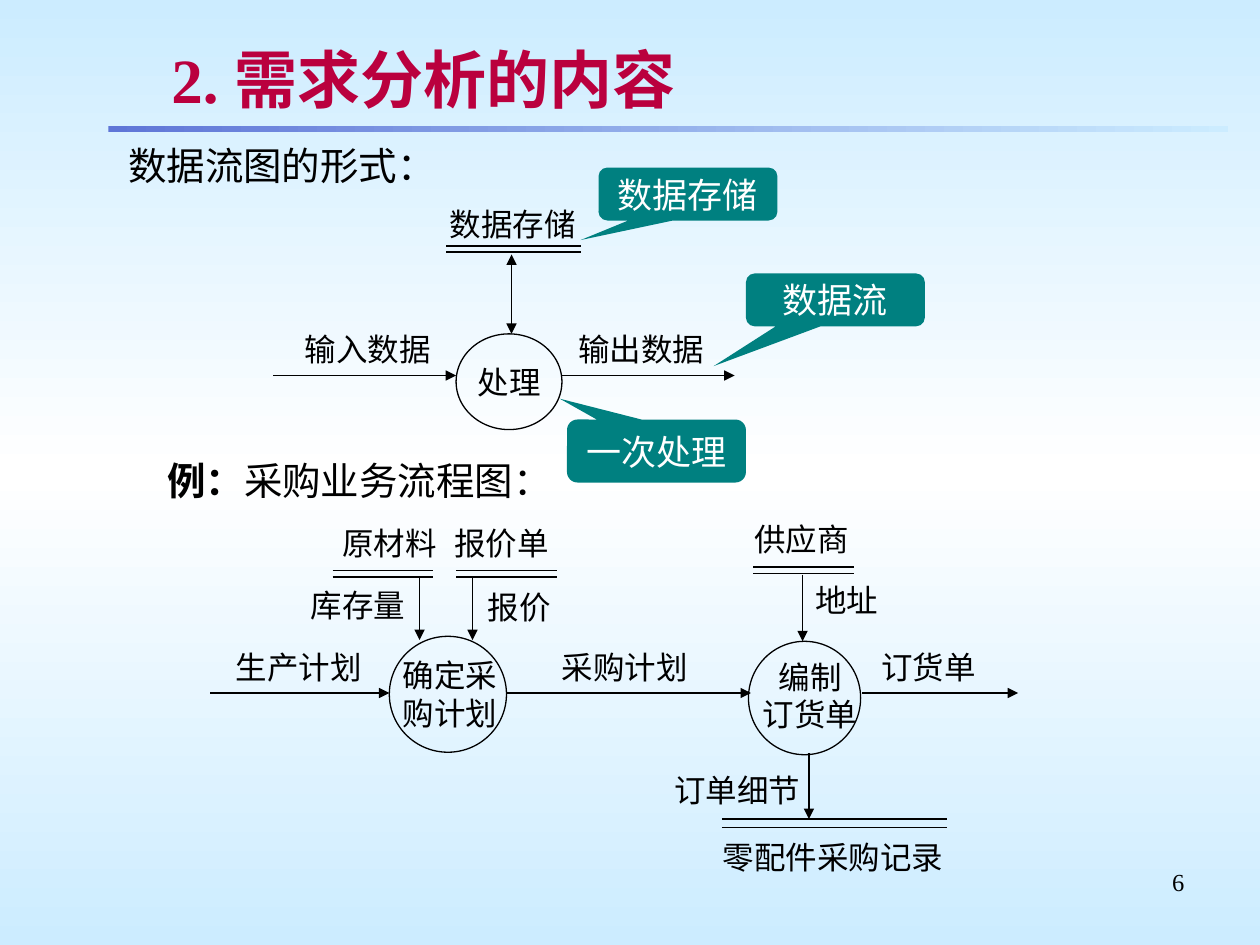
from dataclasses import dataclass
from lxml import etree
from pptx import Presentation
from pptx.dml.color import RGBColor
from pptx.enum.shapes import MSO_CONNECTOR, MSO_SHAPE
from pptx.enum.text import MSO_ANCHOR, MSO_AUTO_SIZE, PP_ALIGN
from pptx.oxml.ns import qn
from pptx.util import Inches, Pt

LEFT, MID, RIGHT = PP_ALIGN.LEFT, PP_ALIGN.CENTER, PP_ALIGN.RIGHT
TOP, MIDDLE = MSO_ANCHOR.TOP, MSO_ANCHOR.MIDDLE
OVAL, RECT = MSO_SHAPE.OVAL, MSO_SHAPE.RECTANGLE
CALLOUT = MSO_SHAPE.ROUNDED_RECTANGULAR_CALLOUT


@dataclass(frozen=True)
class Theme:
    serif: str = "Times New Roman"
    sans: str = "Arial"
    ink: str = "000000"
    red: str = "BA003E"
    teal: str = "008080"
    white: str = "FFFFFF"
    sky: str = "CCECFF"
    blue: str = "5F76D7"
    title: float = 36
    head: float = 22
    note: float = 20
    label: float = 18
    page: float = 14
    thin: float = 0.75


@dataclass(frozen=True)
class Label:
    text: str
    mid: float
    top: float
    chars: int = 0  # characters per line; 0 means all on one line


@dataclass(frozen=True)
class Store:
    left: float
    right: float
    top: float
    gap: float
    line: float = 0.75


@dataclass(frozen=True)
class Flow:
    start: tuple[float, float]
    end: tuple[float, float]
    both: bool = False


@dataclass(frozen=True)
class Note:
    text: str
    box: tuple[float, float, float, float]
    tip: tuple[float, float]


THEME = Theme()
COLS, ROWS = 100, 75
deck = Presentation()
deck.slide_width, deck.slide_height = Inches(10), Inches(7.5)
slide = deck.slides.add_slide(deck.slide_layouts[5])
shapes = slide.shapes


def col(count: float) -> int:
    return round(deck.slide_width * count / COLS)


def row(count: float) -> int:
    return round(deck.slide_height * count / ROWS)


def place(left: float, top: float, wide: float, high: float) -> tuple:
    return col(left), row(top), col(wide), row(high)


def rgb(code: str) -> RGBColor:
    return RGBColor.from_string(code)


def blend(fill, root, stops: list[tuple[int, str]], angle: float) -> None:
    fill.gradient()
    fill.gradient_angle = angle
    ramp = root.find(".//" + qn("a:gsLst"))
    for old in list(ramp):
        ramp.remove(old)
    for share, code in stops:
        stop = etree.SubElement(ramp, qn("a:gs"), pos=str(share * 1000))
        etree.SubElement(stop, qn("a:srgbClr"), val=code)


def write(shape, text: str, size: float, face: str = THEME.serif,
          tint: str = THEME.ink, align=MID, anchor=TOP, bold: bool = False,
          pad: float = 1) -> None:
    frame = shape.text_frame
    frame.text = text
    frame.word_wrap = True
    frame.auto_size = MSO_AUTO_SIZE.NONE
    frame.vertical_anchor = anchor
    frame.margin_left = frame.margin_right = col(pad)
    frame.margin_top = frame.margin_bottom = row(0.5)
    for para in frame.paragraphs:
        para.alignment = align
        font = para.font
        font.name, font.size, font.bold = face, Pt(size), bold
        font.color.rgb = rgb(tint)


def draw_text(text: str, box: tuple, size: float, align=LEFT):
    shape = shapes.add_textbox(*place(*box))
    write(shape, text, size, align=align)
    return shape


def draw_label(item: Label) -> None:
    wide = 2.5 * (item.chars or len(item.text)) + 2.4
    draw_text(item.text, (item.mid - wide / 2, item.top, wide, 4),
              THEME.label, MID)


def draw_line(start: tuple, end: tuple, width: float = THEME.thin):
    line = shapes.add_connector(MSO_CONNECTOR.STRAIGHT, col(start[0]),
                                row(start[1]), col(end[0]), row(end[1]))
    line.line.color.rgb = rgb(THEME.ink)
    line.line.width = Pt(width)
    etree.SubElement(line.element.spPr, qn("a:effectLst"))
    return line


def draw_flow(item: Flow) -> None:
    line = draw_line(item.start, item.end)
    stroke = line.element.spPr.find(qn("a:ln"))
    for tag in ("a:headEnd", "a:tailEnd") if item.both else ("a:tailEnd",):
        etree.SubElement(stroke, qn(tag), type="triangle")


def draw_store(item: Store) -> None:
    for y in (item.top, item.top + item.gap):
        draw_line((item.left, y), (item.right, y), item.line)


def draw_oval(box: tuple):
    oval = shapes.add_shape(OVAL, *place(*box))
    oval.shadow.inherit = False
    oval.fill.background()
    oval.line.color.rgb = rgb(THEME.ink)
    oval.line.width = Pt(THEME.thin)
    return oval


def draw_note(item: Note) -> None:
    note = shapes.add_shape(CALLOUT, *place(*item.box))
    note.shadow.inherit = False
    note.fill.solid()
    note.fill.fore_color.rgb = rgb(THEME.teal)
    note.line.fill.background()
    note.adjustments[0], note.adjustments[1] = item.tip
    write(note, item.text, THEME.note, THEME.sans, THEME.white, anchor=MIDDLE)


# Background and rule under the title
blend(slide.background.fill, slide.element,
      [(0, THEME.sky), (50, THEME.white), (100, THEME.sky)], 90)
bar = shapes.add_shape(RECT, *place(8.6, 10, 88.9, 0.5))
bar.shadow.inherit = False
bar.line.fill.background()
blend(bar.fill, bar.element, [(0, THEME.blue), (100, THEME.sky)], 0)

# Title with a soft text shadow
title = shapes.title
title.left, title.top, title.width, title.height = place(12.6, 2.9, 82.4, 6.7)
write(title, "2. 需求分析的内容", THEME.title, tint=THEME.red, align=LEFT,
      anchor=MIDDLE, bold=True)
props = title.text_frame.paragraphs[0].runs[0].font
props.color.rgb = rgb(THEME.red)
effect = etree.Element(qn("a:effectLst"))
shade = etree.SubElement(effect, qn("a:outerShdw"), dist="25400", dir="2700000")
etree.SubElement(shade, qn("a:srgbClr"), val="C0C0C0")
title.element.find(".//" + qn("a:rPr")).append(effect)

# Headings and page number
draw_text("数据流图的形式：", (9.2, 10.8, 80, 5), THEME.head)
case = draw_text("例：", (12.3, 35.8, 80, 4.2), THEME.head)
lead = case.text_frame.paragraphs[0]
lead.runs[0].font.bold = True
lead.add_run().text = "采购业务流程图："
draw_text("6", (71.7, 68.3, 23.3, 5.2), THEME.page, RIGHT)

# Processes
step = draw_oval((36.2, 26.5, 8.4, 7.6))
write(step, "处理", THEME.label, THEME.sans, anchor=MIDDLE, pad=0)
for box in ((30.9, 50.5, 9.3, 9.2), (59.4, 50.9, 8.9, 9)):
    draw_oval(box)

# Data stores
for store in (
    Store(35.4, 46.1, 19.5, 0.5, 1),
    Store(26.4, 34.4, 45.3, 0.5),
    Store(36.2, 44.2, 45.3, 0.5),
    Store(59.8, 67.8, 45, 0.5),
    Store(57.3, 75.2, 65, 0.7),
):
    draw_store(store)

# Data flows
for flow in (
    Flow((21.7, 29.8), (36.2, 29.8)),
    Flow((44.6, 29.8), (58.3, 29.8)),
    Flow((40.6, 20.2), (40.6, 26.5), both=True),
    Flow((33.3, 45.8), (33.3, 50.8)),
    Flow((37.5, 45.8), (37.5, 50.8)),
    Flow((63.7, 45.6), (63.7, 50.9)),
    Flow((64.2, 59.8), (64.2, 65)),
    Flow((16.7, 55), (30.9, 55)),
    Flow((40.2, 55), (59.6, 55)),
    Flow((68.4, 55), (80.8, 55)),
):
    draw_flow(flow)

# Labels
for label in (
    Label("数据存储", 40.7, 15.8),
    Label("输入数据", 29.2, 25.7),
    Label("输出数据", 50.9, 25.7),
    Label("原材料", 30.9, 41.1),
    Label("报价单", 39.8, 41.1),
    Label("供应商", 63.6, 40.8),
    Label("库存量", 28.4, 46),
    Label("报价", 41.2, 46.2),
    Label("地址", 67.2, 45.6),
    Label("生产计划", 23.7, 50.9),
    Label("采购计划", 49.6, 50.9),
    Label("订货单", 73.7, 50.9),
    Label("确定采购计划", 35.7, 51.6, 3),
    Label("编制\n订货单", 64.3, 51.7, 3),
    Label("订单细节", 58.5, 60.7),
    Label("零配件采购记录", 66.1, 66),
):
    draw_label(label)

# Callouts
for note in (
    Note("数据存储", (47.5, 13.3, 14.2, 4.2), (-0.6, 0.87)),
    Note("数据流", (59.2, 21.7, 14.2, 4.2), (-0.68, 1.25)),
    Note("一次处理", (45, 33.3, 14.2, 5), (-0.54, -0.83)),
):
    draw_note(note)

deck.save("out.pptx")
